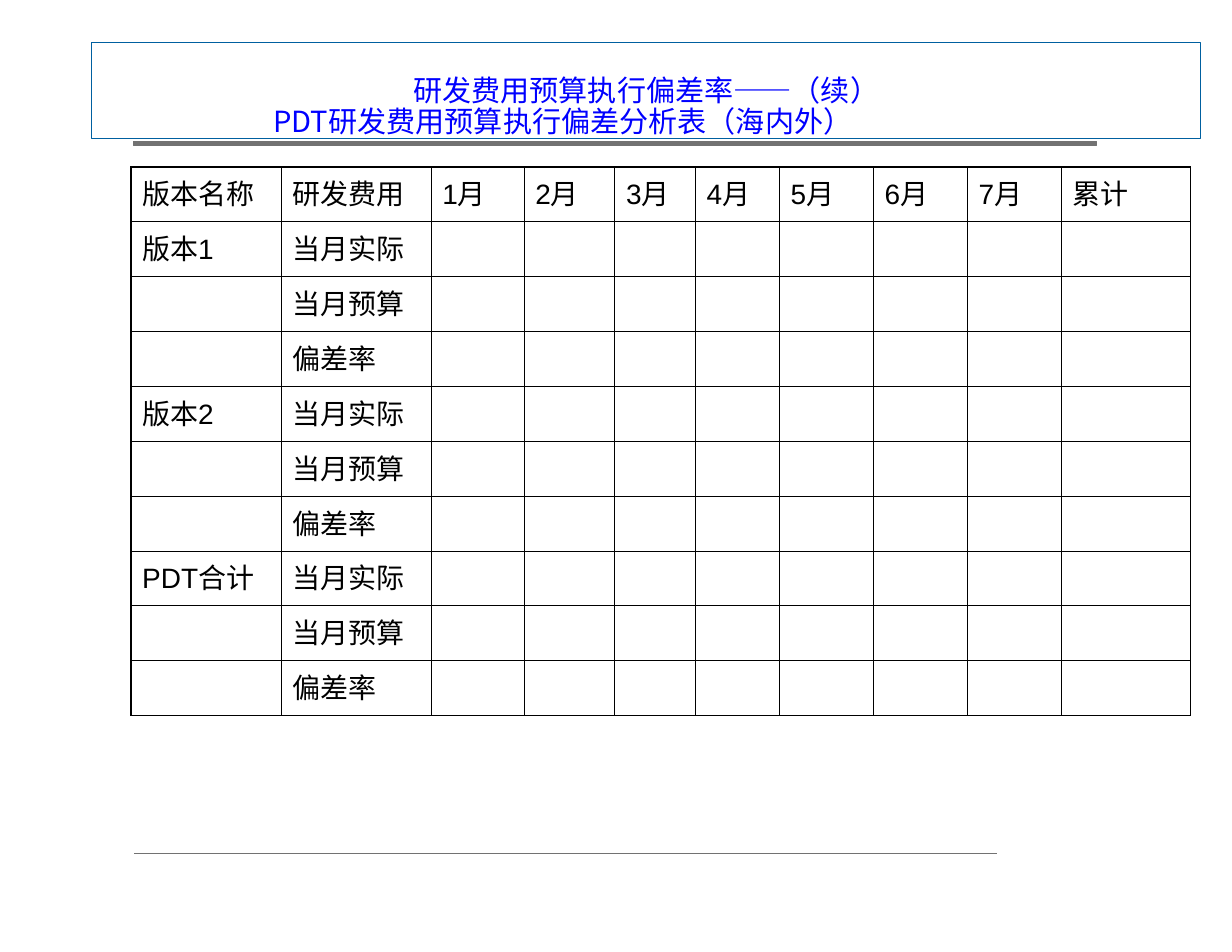
from lxml.etree import SubElement
from pptx import Presentation
from pptx.dml.color import RGBColor
from pptx.enum.shapes import MSO_CONNECTOR as Connector, MSO_SHAPE as Shape
from pptx.enum.text import MSO_ANCHOR as Anchor, PP_ALIGN as Align
from pptx.oxml.ns import qn
from pptx.util import Inches, Pt


def colour(value):
    return RGBColor.from_string(value)


class BudgetSlide:
    latin, cjk = "Arial", "Noto Sans CJK SC"
    ink, grey, frame, heading = "000000", "727272", "0060A0", "0000FF"
    hairline, thin, thick = 0.71, 0.45, 1.08

    def __init__(self, slide):
        self.slide = slide

    def run(self, paragraph, text, font, size, hue):
        piece = paragraph.add_run()
        piece.text = text
        for name, value in {"name": font, "size": Pt(size)}.items():
            setattr(piece.font, name, value)
        piece.font.color.rgb = colour(hue)
        SubElement(piece.font._element, qn("a:ea"), typeface=self.cjk)

    def outline(self, shape, hue):
        shape.line.color.rgb = colour(hue)
        shape.line.width = Pt(self.hairline)

    def bar(self, *box):
        strip = self.slide.shapes.add_shape(Shape.ROUNDED_RECTANGLE, *map(Inches, box))
        strip.adjustments[0] = 0
        strip.shadow.inherit = False
        strip.fill.solid()
        strip.fill.fore_color.rgb = colour(self.grey)
        self.outline(strip, self.grey)

    def rule(self, *ends):
        line = self.slide.shapes.add_connector(Connector.STRAIGHT, *map(Inches, ends))
        self.outline(line, self.grey)
        SubElement(line._element.spPr, qn("a:effectLst"))

    def title(self, box, lines):
        banner = self.slide.shapes.add_textbox(*map(Inches, box))
        self.outline(banner, self.frame)
        frame = banner.text_frame
        layout = {"word_wrap": True, "vertical_anchor": Anchor.BOTTOM,
                  "margin_left": 0, "margin_top": 0,
                  "margin_right": 0, "margin_bottom": 0}
        for name, value in layout.items():
            setattr(frame, name, value)
        for index, (align, indent, runs) in enumerate(lines):
            paragraph = frame.add_paragraph() if index else frame.paragraphs[0]
            paragraph.alignment = align
            paragraph.line_spacing = 0.9
            paragraph._p.get_or_add_pPr().set("marL", str(Inches(indent)))
            for text, font in runs:
                self.run(paragraph, text, font, 18.7, self.heading)

    def borders(self, cell, outer_sides):
        properties = cell._tc.get_or_add_tcPr()
        for side, outer in outer_sides.items():
            width = self.thick if outer else self.thin
            edge = SubElement(properties, qn(f"a:ln{side}"), w=str(Pt(width)))
            fill = SubElement(edge, qn("a:solidFill"))
            SubElement(fill, qn("a:srgbClr"), val=self.ink)

    def table(self, left, top, widths, row_height, rows):
        last_row, last_column = len(rows) - 1, len(widths) - 1
        box = left, top, sum(widths), row_height * len(rows)
        grid = self.slide.shapes.add_table(
            len(rows), len(widths), *map(Inches, box)).table
        grid.first_row = grid.horz_banding = False
        for column, width in zip(grid.columns, widths):
            column.width = Inches(width)
        for r, texts in enumerate(rows):
            grid.rows[r].height = Inches(row_height)
            for c in range(len(widths)):
                cell = grid.cell(r, c)
                self.borders(cell, {"L": c == 0, "R": c == last_column,
                                    "T": r == 0, "B": r == last_row})
                cell.fill.background()
                if c < len(texts) and texts[c]:
                    paragraph = cell.text_frame.paragraphs[0]
                    paragraph.space_before = Pt(4.5)
                    self.run(paragraph, texts[c], self.latin, 18, self.ink)


def main():
    deck = Presentation()
    deck.slide_width, deck.slide_height = Inches(11), Inches(8.5)
    page = BudgetSlide(deck.slides.add_slide(deck.slide_layouts[6]))

    page.bar(1.19, 1.26, 8.6, 0.04)
    page.rule(1.2, 7.62, 8.9, 7.62)
    page.title((0.82, 0.38, 9.9, 0.86), [
        (Align.CENTER, 0, [("研发费用预算执行偏差率", page.cjk),
                           ("——", page.latin), ("（续）", page.cjk)]),
        (Align.LEFT, 1.62, [("PDT研发费用预算执行偏差分析表（海内外）", page.cjk)]),
    ])

    months = [f"{month}月" for month in range(1, 8)]
    rows = [["版本名称", "研发费用", *months, "累计"]]
    measures = ["当月实际", "当月预算", "偏差率"]
    for version in ["版本1", "版本2", "PDT合计"]:
        rows += zip([version, "", ""], measures)
    widths = [1.34, 1.34, 0.83, 0.81, 0.72, 0.75, 0.84, 0.84, 0.84, 1.15]
    page.table(1.17, 1.49, widths, 0.49, rows)

    deck.save("out.pptx")


if __name__ == "__main__":
    main()
